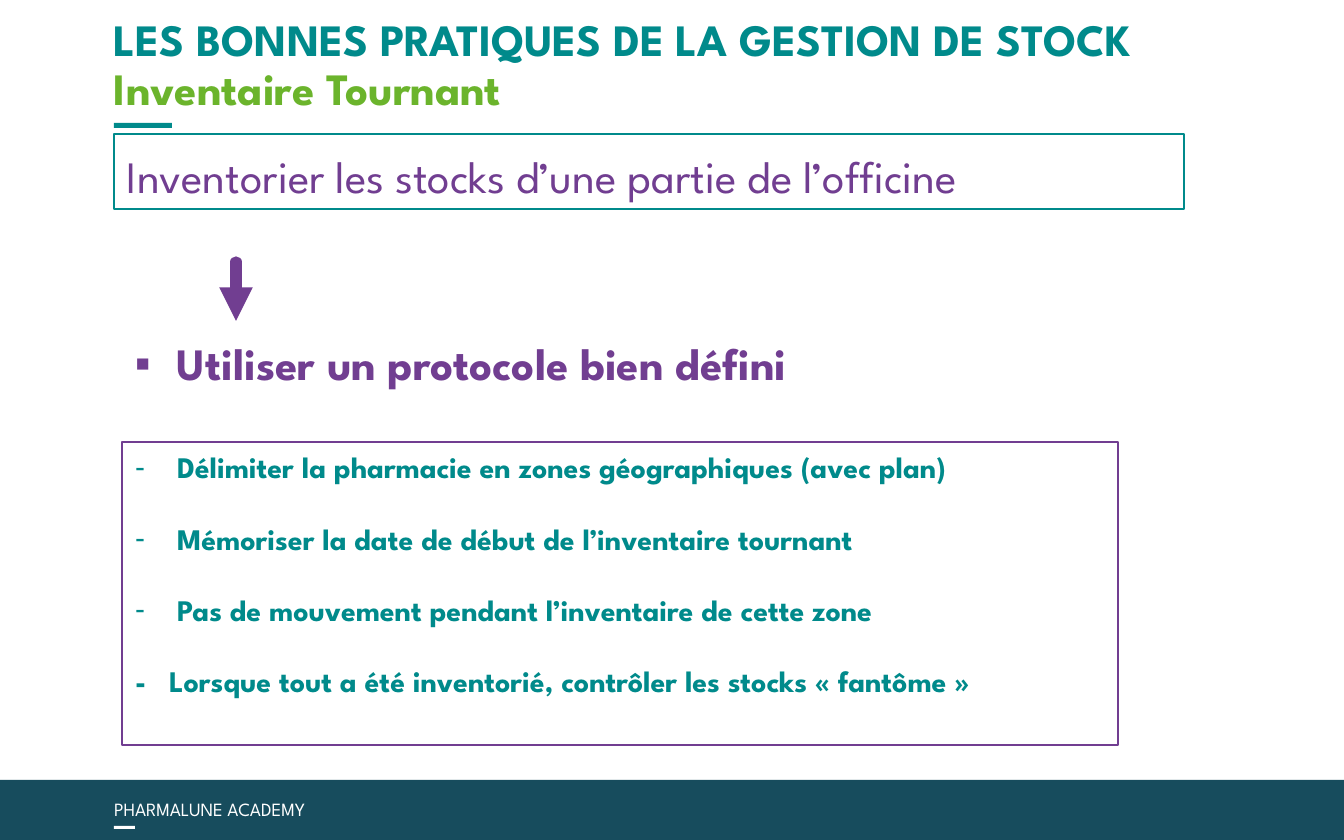
from lxml import etree
from pptx import Presentation
from pptx.dml.color import RGBColor
from pptx.enum.shapes import MSO_CONNECTOR, MSO_SHAPE
from pptx.enum.text import MSO_ANCHOR, MSO_AUTO_SIZE, PP_ALIGN
from pptx.oxml.ns import qn
from pptx.util import Emu, Pt

RECTANGLE = MSO_SHAPE.RECTANGLE
STRAIGHT = MSO_CONNECTOR.STRAIGHT
TOP, MIDDLE, BOTTOM = MSO_ANCHOR.TOP, MSO_ANCHOR.MIDDLE, MSO_ANCHOR.BOTTOM
LEFT = PP_ALIGN.LEFT
NO_FIT = MSO_AUTO_SIZE.NONE

FONT = "League Spartan"
TEAL, GREEN, PURPLE, NAVY, WHITE = "008A8B", "6BB42C", "713E91", "174C5D", "FFFFFF"
PAGE_WIDTH, PAGE_HEIGHT = 1344, 840
MARGIN = 114
INSET_X, INSET_Y = 13, 7

STEPS = [
    "Délimiter la pharmacie en zones géographiques (avec plan)",
    "Mémoriser la date de début de l’inventaire tournant",
    "Pas de mouvement pendant l’inventaire de cette zone",
]
LAST_STEP = "-\tLorsque tout a été inventorié, contrôler les stocks «\u00a0fantôme\u00a0»".replace("\u00a0", " ")


def px(length):
    return Emu(round(length * 9144000 / PAGE_WIDTH))


def color(value):
    return RGBColor.from_string(value)


def place(shape, box):
    shape.left, shape.top, shape.width, shape.height = [px(side) for side in box]


def set_frame(shape, anchor, inset_x=INSET_X, inset_y=INSET_Y, wrap=True):
    frame = shape.text_frame
    frame.auto_size = NO_FIT
    frame.word_wrap = wrap
    frame.vertical_anchor = anchor
    frame.margin_left = frame.margin_right = px(inset_x)
    frame.margin_top = frame.margin_bottom = px(inset_y)
    return frame


def add_span(para, text, size, value, bold=False):
    span = para.add_run()
    span.text = text
    span.font.name = FONT
    span.font.size = Pt(size)
    span.font.bold = bold
    span.font.color.rgb = color(value)


def set_hanging(para, indent, bullet=None, value=None):
    """Hanging indent, with a coloured bullet or none."""
    props = para._p.get_or_add_pPr()
    props.set("marL", str(px(indent)))
    props.set("indent", str(-px(indent)))
    if bullet is None:
        etree.SubElement(props, qn("a:buNone"))
        return
    fill = etree.SubElement(props, qn("a:buClr"))
    etree.SubElement(fill, qn("a:srgbClr"), val=value)
    etree.SubElement(props, qn("a:buFont"), typeface="Arial")
    etree.SubElement(props, qn("a:buChar"), char=bullet)


def add_rectangle(page, box, fill=None, line=None):
    shape = page.shapes.add_shape(RECTANGLE, *[px(side) for side in box])
    shape.shadow.inherit = False
    if fill:
        shape.fill.solid()
        shape.fill.fore_color.rgb = color(fill)
    else:
        shape.fill.background()
    if line:
        shape.line.color.rgb = color(line)
        shape.line.width = Pt(0.75)
    else:
        shape.line.fill.background()
    return shape


def add_footer(page, box):
    left, top, width, height = box
    add_rectangle(page, box, fill=NAVY)
    add_rectangle(page, (left + MARGIN, top + 46, 21, 3), fill=WHITE)
    label = page.shapes.add_textbox(px(left + MARGIN - INSET_X), px(top + 11), px(253), px(36))
    frame = set_frame(label, TOP, wrap=False)
    add_span(frame.paragraphs[0], "PHARMALUNE ACADEMY", 10, WHITE)


def add_title(page, box):
    left, top, width, height = box
    title = page.shapes.title
    place(title, box)
    para = set_frame(title, BOTTOM, 0, 0).paragraphs[0]
    para.alignment = LEFT
    para.line_spacing = 0.9
    add_span(para, "LES BONNES PRATIQUES DE LA GESTION DE STOCK ", 24, TEAL, True)
    add_span(para, "Inventaire Tournant", 24, GREEN, True)
    # Accent rule under the title
    add_rectangle(page, (left, top + height + 8, 58, 5), fill=TEAL)


def add_definition(page, box):
    shape = add_rectangle(page, box, line=TEAL)
    para = set_frame(shape, MIDDLE).paragraphs[0]
    para.alignment = LEFT
    para.line_spacing = 1.15
    add_span(para, "Inventorier les stocks d’une partie de l’officine", 24, PURPLE)


def add_down_arrow(page, box):
    left, top, width, height = box
    arrow = page.shapes.add_connector(STRAIGHT, px(left), px(top), px(left + width), px(top + height))
    arrow.line.color.rgb = color(PURPLE)
    arrow.line.width = Pt(6)
    line = arrow.line._get_or_add_ln()
    line.set("cap", "rnd")
    etree.SubElement(line, qn("a:tailEnd"), type="triangle")
    etree.SubElement(arrow._element.spPr, qn("a:effectLst"))


def add_heading(page, box):
    heading = page.shapes.add_textbox(*[px(side) for side in box])
    para = set_frame(heading, TOP).paragraphs[0]
    set_hanging(para, 42, "▪", PURPLE)
    add_span(para, "Utiliser un protocole bien défini", 24, PURPLE, True)


def add_steps(page, box):
    body = page.placeholders[1]
    place(body, box)
    body.line.color.rgb = color(PURPLE)
    body.line.width = Pt(0.75)
    frame = set_frame(body, TOP)
    for index, step in enumerate(STEPS + [LAST_STEP]):
        para = frame.add_paragraph() if index else frame.paragraphs[0]
        para.space_before = Pt(0)
        para.space_after = Pt(19)
        # The last step carries its own bold dash
        if step == LAST_STEP:
            set_hanging(para, 34)
        else:
            set_hanging(para, 42, "-", TEAL)
        add_span(para, step, 16, TEAL, True)


def main():
    deck = Presentation()
    deck.slide_width, deck.slide_height = px(PAGE_WIDTH), px(PAGE_HEIGHT)
    page = deck.slides.add_slide(deck.slide_layouts[1])
    add_footer(page, (0, 780, PAGE_WIDTH, 60))
    add_title(page, (MARGIN, 14, 1167, 101))
    add_definition(page, (MARGIN, 134, 1070, 75))
    add_heading(page, (122, 329, 895, 103))
    add_down_arrow(page, (236, 262, 0, 59))
    add_steps(page, (122, 442, 996, 303))
    deck.save("out.pptx")


if __name__ == "__main__":
    main()
